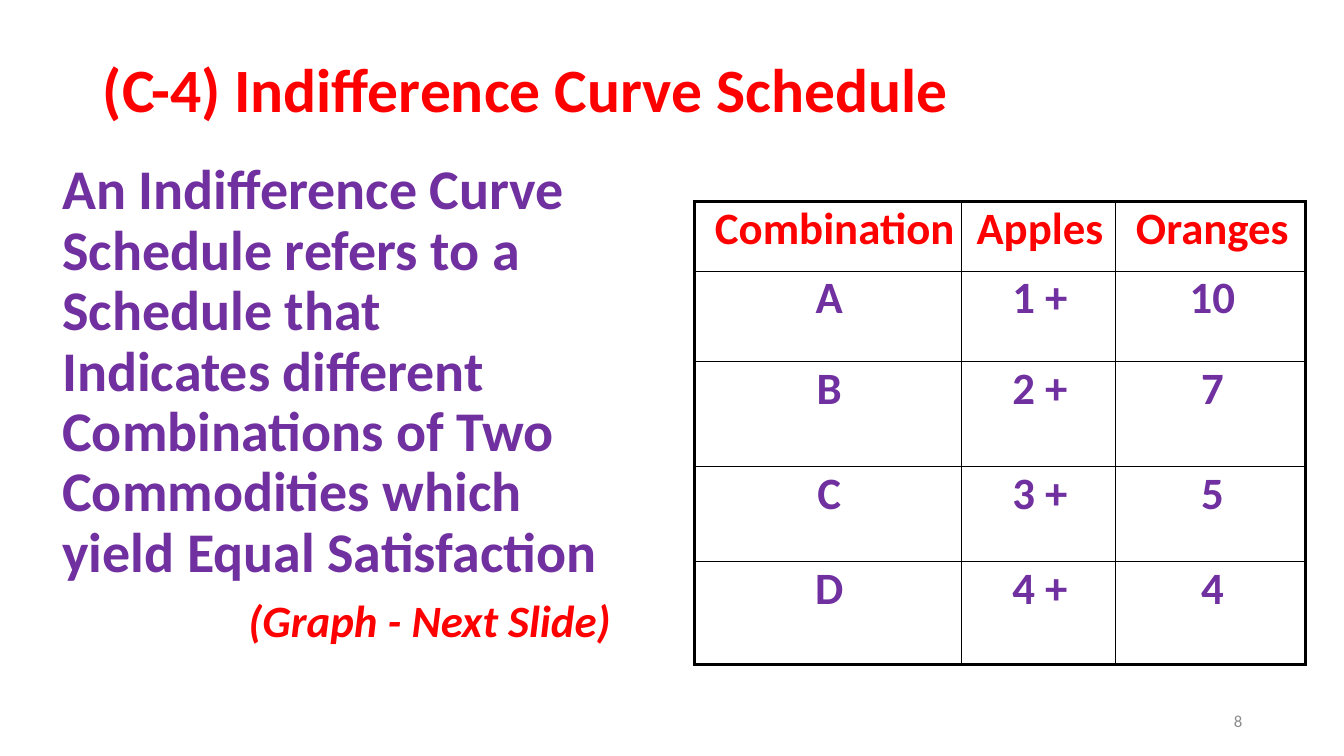
import pptx
import pptx.util
import pptx.dml.color
import pptx.enum.text
import pptx.oxml.ns
import lxml.etree

Inches, Pt = pptx.util.Inches, pptx.util.Pt
ALIGN = pptx.enum.text.PP_ALIGN
ANCHOR = pptx.enum.text.MSO_ANCHOR
COLORS = {"red": "FF0000", "purple": "7030A0", "gray": "8C8C8C", "black": "000000"}


def style(para, size, color, align, bold=True, italic=False):
    para.alignment = align
    for run in para.runs:
        font = run.font
        font.name, font.size = "Calibri", Pt(size)
        font.bold, font.italic = bold, italic
        font.color.rgb = pptx.dml.color.RGBColor.from_string(COLORS[color])


def border(cell, side, width):
    qn = pptx.oxml.ns.qn
    props = cell._tc.get_or_add_tcPr()
    line = lxml.etree.SubElement(props, qn("a:ln" + side), w=str(Pt(width)))
    fill = lxml.etree.SubElement(line, qn("a:solidFill"))
    lxml.etree.SubElement(fill, qn("a:srgbClr"), val=COLORS["black"])


deck = pptx.Presentation()
deck.slide_width, deck.slide_height = Inches(13.33), Inches(7.5)
slide = deck.slides.add_slide(deck.slide_layouts[5])

# Title
title = slide.shapes.title
title.left, title.top = Inches(0.92), Inches(0.4)
title.width, title.height = Inches(11.5), Inches(1.03)
frame = title.text_frame
frame.text = "(C-4) Indifference Curve Schedule"
frame.auto_size = pptx.enum.text.MSO_AUTO_SIZE.NONE
frame.vertical_anchor = ANCHOR.MIDDLE
frame.paragraphs[0].line_spacing = 0.9
style(frame.paragraphs[0], 44, "red", ALIGN.LEFT)

# Definition
body = slide.shapes.add_textbox(Inches(0.52), Inches(1.55), Inches(5.64), Inches(5.21))
frame = body.text_frame
frame.word_wrap = True
first = frame.paragraphs[0]
first.text = ("An Indifference Curve Schedule refers to a Schedule that\v"
              "Indicates different Combinations of Two Commodities which "
              "yield Equal Satisfaction")
style(first, 40, "purple", ALIGN.LEFT)
note = frame.add_paragraph()
note.text = "(Graph - Next Slide)"
style(note, 32, "red", ALIGN.RIGHT, italic=True)
for para in frame.paragraphs:
    para.line_spacing, para.space_before = 0.9, Pt(10)

# Schedule table
rows = [("Combination", "Apples", "Oranges"),
        ("A", "1 +", "10"), ("B", "2 +", "7"), ("C", "3 +", "5"), ("D", "4 +", "4")]
widths = [2.65, 1.52, 1.89]
heights = [0.69, 0.9, 1.04, 0.94, 1.02]
indents = [0.02, 0.03, 0.04]
holder = slide.shapes.add_table(len(rows), len(widths), Inches(6.89), Inches(2),
                                Inches(6.06), Inches(4.87))
table = holder.table
table.first_row = table.horz_banding = False
for col, width in zip(table.columns, widths):
    col.width = Inches(width)
for row, height in zip(table.rows, heights):
    row.height = Inches(height)
holder.height = Inches(4.87)

for r, row in enumerate(rows):
    for c, text in enumerate(row):
        cell = table.cell(r, c)
        cell.margin_left = cell.margin_right = cell.margin_top = cell.margin_bottom = 0
        cell.text = text
        para = cell.text_frame.paragraphs[0]
        style(para, 32, "purple" if r else "red", ALIGN.CENTER)
        para.space_before = Pt(2.6 if r else 2)
        indent = 0.13 if r == c == 0 else indents[c]
        para._p.get_or_add_pPr().set("marL", str(Inches(indent)))
        outer = {"L": c == 0, "R": c == len(widths) - 1,
                 "T": r == 0, "B": r == len(rows) - 1}
        for side, edge in outer.items():
            border(cell, side, 2.25 if edge else 1)
        cell.fill.background()

# Slide number
number = slide.shapes.add_textbox(Inches(9.42), Inches(6.95), Inches(3), Inches(0.4))
frame = number.text_frame
frame.word_wrap = True
frame.vertical_anchor = ANCHOR.MIDDLE
frame.text = "8"
style(frame.paragraphs[0], 12, "gray", ALIGN.RIGHT, bold=False)

deck.save("out.pptx")
